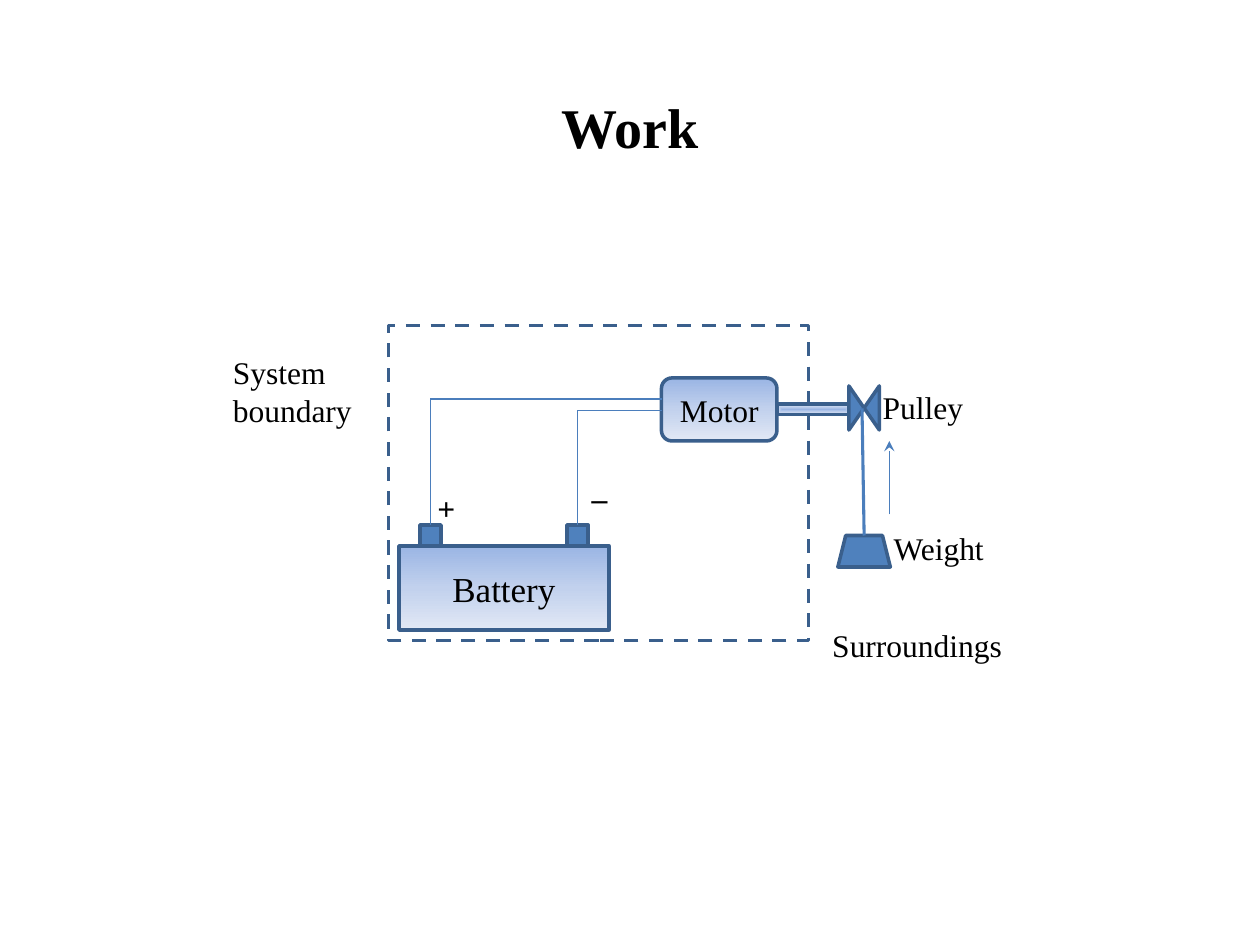
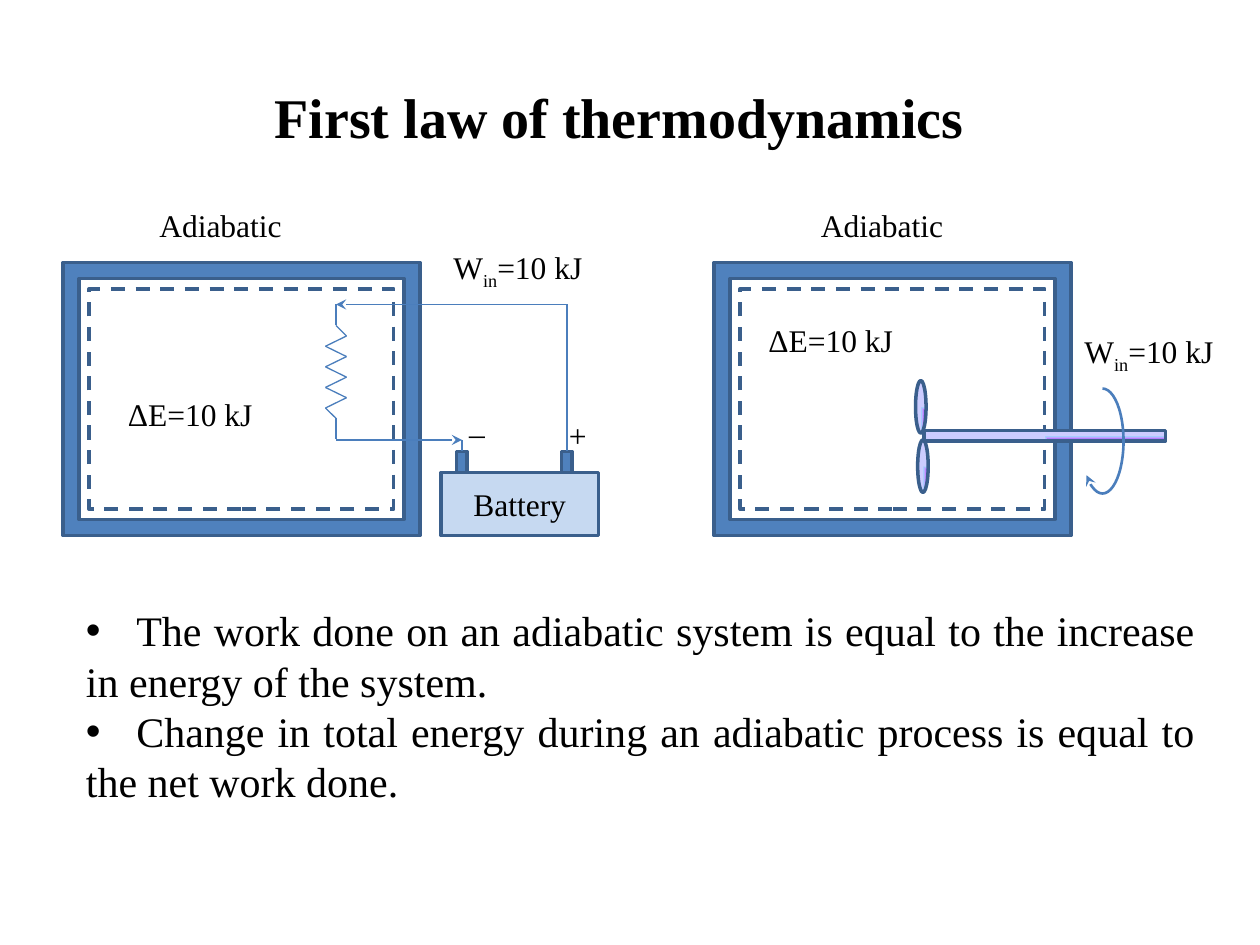
from lxml import etree
from pptx import Presentation
from pptx import util as u
from pptx.dml.color import RGBColor
from pptx.enum import dml, shapes as kinds, text
from pptx.oxml import ns, parse_xml

COLORS = {"ink": "000000", "solid": "4F81BD", "outline": "3A5F8C",
          "wire": "4B7EBC", "pale": "C6D9F1"}
GRADIENTS = {
    "vertical": ([(0, "9AB5E4"), (50, "C2D1ED"), (100, "E1E8F5")],
                 '<a:lin ang="5400000" scaled="0"/>'),
    "centre": ([(0, "9AB5E4"), (50, "C2D1ED"), (100, "E1E8F5")],
               '<a:path path="shape"><a:fillToRect l="50000" t="50000" '
               'r="50000" b="50000"/></a:path>'),
    "corner": ([(0, "CCCCFF"), (18, "99CCFF"), (36, "9966FF"), (61, "CC99FF"),
                (82, "99CCFF"), (100, "CCCCFF")],
               '<a:path path="rect"><a:fillToRect l="100000" t="100000"/></a:path>'),
}
FONT = "Times New Roman"
COLUMNS, ROWS = 120, 90
CELL = u.Inches(10) / COLUMNS
SHAPE = kinds.MSO_SHAPE
CENTER = text.PP_ALIGN.CENTER
WORK_IN = [("W", 0), ("in", -25), ("=10 kJ", 0)]
TOP = 0


def cells(*counts):
    """Turn grid counts into slide lengths."""
    return [round(count * CELL) for count in counts]


def color(name):
    return RGBColor.from_string(COLORS[name])


def add_run(paragraph, words, size=18, bold=False, baseline=0):
    run = paragraph.add_run()
    run.text = words
    run.font.name, run.font.size, run.font.bold = FONT, u.Pt(size), bold
    run.font.color.rgb = color("ink")
    if baseline:
        run._r.get_or_add_rPr().set("baseline", str(baseline * 1000))


def add_title(slide, words, left, top, width, height):
    title = slide.shapes.title
    title.left, title.top, title.width, title.height = cells(left, top, width, height)
    frame = title.text_frame
    frame.auto_size = text.MSO_AUTO_SIZE.NONE
    frame.vertical_anchor = text.MSO_ANCHOR.TOP
    frame.margin_top = u.Inches(0.07)
    frame.paragraphs[0].alignment = CENTER
    add_run(frame.paragraphs[0], words, 32, bold=True)


def add_label(shapes, lines, left, top, width, height=4.8, align=None, bold=False):
    """Add an unwrapped label; a line is a string or a list of (words, baseline)."""
    frame = shapes.add_textbox(*cells(left, top, width, height)).text_frame
    frame.word_wrap = False
    frame.auto_size = text.MSO_AUTO_SIZE.SHAPE_TO_FIT_TEXT
    for index, line in enumerate(lines):
        paragraph = frame.add_paragraph() if index else frame.paragraphs[0]
        paragraph.alignment = align
        for words, baseline in [(line, 0)] if isinstance(line, str) else line:
            add_run(paragraph, words, bold=bold, baseline=baseline)


def add_bullets(shapes, lines, left, top, width, height):
    frame = shapes.add_textbox(*cells(left, top, width, height)).text_frame
    frame.word_wrap = True
    for index, line in enumerate(lines):
        paragraph = frame.add_paragraph() if index else frame.paragraphs[0]
        paragraph.alignment = text.PP_ALIGN.JUSTIFY
        properties = paragraph._p.get_or_add_pPr()
        etree.SubElement(properties, ns.qn("a:buFont")).set("typeface", "Arial")
        etree.SubElement(properties, ns.qn("a:buChar")).set("char", "•")
        tabs = etree.SubElement(properties, ns.qn("a:tabLst"))
        tab = etree.SubElement(tabs, ns.qn("a:tab"))
        tab.set("pos", str(u.Inches(0.4)))
        tab.set("algn", "l")
        add_run(paragraph, "\t" + line, 24)


def fill_gradient(shape, name):
    stops, direction = GRADIENTS[name]
    stop_xml = "".join(f'<a:gs pos="{position * 1000}"><a:srgbClr val="{value}"/></a:gs>'
                       for position, value in stops)
    shape.fill.gradient()
    properties = shape._element.spPr
    properties.replace(properties.find(ns.qn("a:gradFill")), parse_xml(
        f'<a:gradFill {ns.nsdecls("a")} rotWithShape="1">'
        f"<a:gsLst>{stop_xml}</a:gsLst>{direction}</a:gradFill>"))


def add_part(shapes, kind, left, top, width, height, fill=None, words="", size=18,
             line="outline", weight=2, rotation=0):
    part = shapes.add_shape(kind, *cells(left, top, width, height))
    part.shadow.inherit = False
    part.rotation = rotation
    part.line.color.rgb = color(line)
    part.line.width = u.Pt(weight)
    if fill in GRADIENTS:
        fill_gradient(part, fill)
    elif fill:
        part.fill.solid()
        part.fill.fore_color.rgb = color(fill)
    else:
        part.fill.background()
    if words:
        part.text_frame.vertical_anchor = text.MSO_ANCHOR.MIDDLE
        part.text_frame.paragraphs[0].alignment = CENTER
        add_run(part.text_frame.paragraphs[0], words, size)
    return part


def add_boundary(shapes, left, top, width, height):
    boundary = add_part(shapes, SHAPE.RECTANGLE, left, top, width, height)
    boundary.line.dash_style = dml.MSO_LINE.DASH


def add_arrowhead(shape):
    etree.SubElement(shape.line._get_or_add_ln(), ns.qn("a:tailEnd")).set("type", "stealth")


def add_wire(shapes, start, end, weight=0.75, arrow=False, terminal=None):
    """Draw a straight line, its end joined to the top of a terminal if given."""
    wire = shapes.add_connector(kinds.MSO_CONNECTOR.STRAIGHT, *cells(*start, *end))
    wire.line.color.rgb = color("wire")
    wire.line.width = u.Pt(weight)
    etree.SubElement(wire._element.spPr, ns.qn("a:effectLst"))
    if arrow:
        add_arrowhead(wire)
    if terminal is not None:
        wire.end_connect(terminal, TOP)


def add_resistor(shapes, column, top, bottom):
    """Draw a zigzag with a straight lead at either end."""
    zigzag_top, step, bends = top + 2, 0.98, 8
    points = [(column, top), (column, zigzag_top)]
    points += [(column + (-1) ** bend, zigzag_top + 1 + bend * step)
               for bend in range(bends)]
    points += [(column, zigzag_top + 1 + bends * step), (column, bottom)]
    for start, end in zip(points, points[1:]):
        add_wire(shapes, start, end)


def add_adiabatic_system(shapes, left, top):
    wall = add_part(shapes, SHAPE.FRAME, left, top, 34, 26, "solid")
    wall.adjustments[0] = 0.059
    add_boundary(shapes, left + 2.5, top + 2.5, 29, 21)


def build_work(slide):
    shapes = slide.shapes
    add_title(slide, "Work", 6, 8, 108, 9.6)
    add_boundary(shapes, 37, 31, 40, 30)
    add_part(shapes, SHAPE.RECTANGLE, 38, 52, 20, 8, "vertical", "Battery", 20)
    add_part(shapes, SHAPE.ROUNDED_RECTANGLE, 63, 36, 11, 6, "vertical", "Motor")
    add_part(shapes, SHAPE.RECTANGLE, 74, 38.5, 7, 1, "centre")
    for left, wire_row in ((40, 38), (54, 39.1)):
        terminal = add_part(shapes, SHAPE.RECTANGLE, left, 50, 2, 2, "solid")
        corner = (left + 1, wire_row)
        add_wire(shapes, (63, wire_row), corner)
        add_wire(shapes, corner, (left + 1, 50), terminal=terminal)
    add_part(shapes, SHAPE.FLOWCHART_COLLATE, 80.2, 37.4, 4.2, 2.9, "solid", rotation=270)
    add_part(shapes, SHAPE.TRAPEZOID, 79.8, 51, 5, 3, "solid")
    add_wire(shapes, (82.3, 51), (82.1, 38.9), weight=1.75)
    add_wire(shapes, (84.7, 49), (84.7, 42), arrow=True)
    add_label(shapes, ["System", "boundary"], 21, 33, 13.9, 8.5)
    for words, left, top, width in (("Surroundings", 78, 59, 18.7),
                                    ("Pulley", 82.8, 36.4, 10.2),
                                    ("Weight", 83.8, 49.8, 11.2)):
        add_label(shapes, [words], left, top, width, align=CENTER)
    for sign, left, top in (("+", 40.4, 46), ("_", 55, 44)):
        add_label(shapes, [sign], left, top, 4.2, align=CENTER, bold=True)


def build_electrical_work(shapes):
    add_adiabatic_system(shapes, 6, 25)
    add_resistor(shapes, 32, 29, 41.8)
    add_part(shapes, SHAPE.RECTANGLE, 42, 45, 15, 6, "pale", "Battery")
    for column, wire_row in ((44, 41.9), (54, 29)):
        terminal = add_part(shapes, SHAPE.RECTANGLE, column - 0.5, 43, 1, 2, "solid")
        add_wire(shapes, (column, wire_row), (column, 43), terminal=terminal)
    add_wire(shapes, (54, 29), (32, 29), arrow=True)
    add_wire(shapes, (32, 41.9), (44, 41.9), arrow=True)
    for line, left, top, width in (("+", 53, 39, 4.1), ("_", 43.5, 37.8, 4),
                                   (WORK_IN, 42, 23, 14.9),
                                   ("ΔE=10 kJ", 11, 37, 14.4),
                                   ("Adiabatic", 14, 19, 14.2)):
        add_label(shapes, [line], left, top, width)


def build_shaft_work(shapes):
    add_adiabatic_system(shapes, 68, 25)
    for left, top in ((87.2, 36.25), (87.4, 41.9)):
        add_part(shapes, SHAPE.OVAL, left, top, 1, 5, "corner")
    add_part(shapes, SHAPE.RECTANGLE, 88, 41, 23, 1, "corner", rotation=180)
    turn = add_part(shapes, SHAPE.ARC, 103, 37, 4, 10, line="wire", weight=1.5)
    turn.adjustments[0], turn.adjustments[1] = 162, 69.01
    add_arrowhead(turn)
    for line, left, top, width in ((WORK_IN, 102.1, 31, 14.9),
                                   ("ΔE=10 kJ", 72, 30, 14.4),
                                   ("Adiabatic", 77, 19, 14.2)):
        add_label(shapes, [line], left, top, width)


def build_first_law(slide):
    add_title(slide, "First law of thermodynamics", 5, 7, 108, 11.6)
    build_electrical_work(slide.shapes.add_group_shape().shapes)
    add_bullets(slide.shapes, [
        "The work done on an adiabatic system is equal to the increase in energy "
        "of the system.",
        "Change in total energy during an adiabatic process is equal to the net "
        "work done.",
    ], 7, 57, 108, 25.4)
    build_shaft_work(slide.shapes.add_group_shape().shapes)


def main():
    presentation = Presentation()
    presentation.slide_width, presentation.slide_height = cells(COLUMNS, ROWS)
    title_only = presentation.slide_layouts[5]
    for build in (build_work, build_first_law):
        build(presentation.slides.add_slide(title_only))
    presentation.save("out.pptx")


if __name__ == "__main__":
    main()
